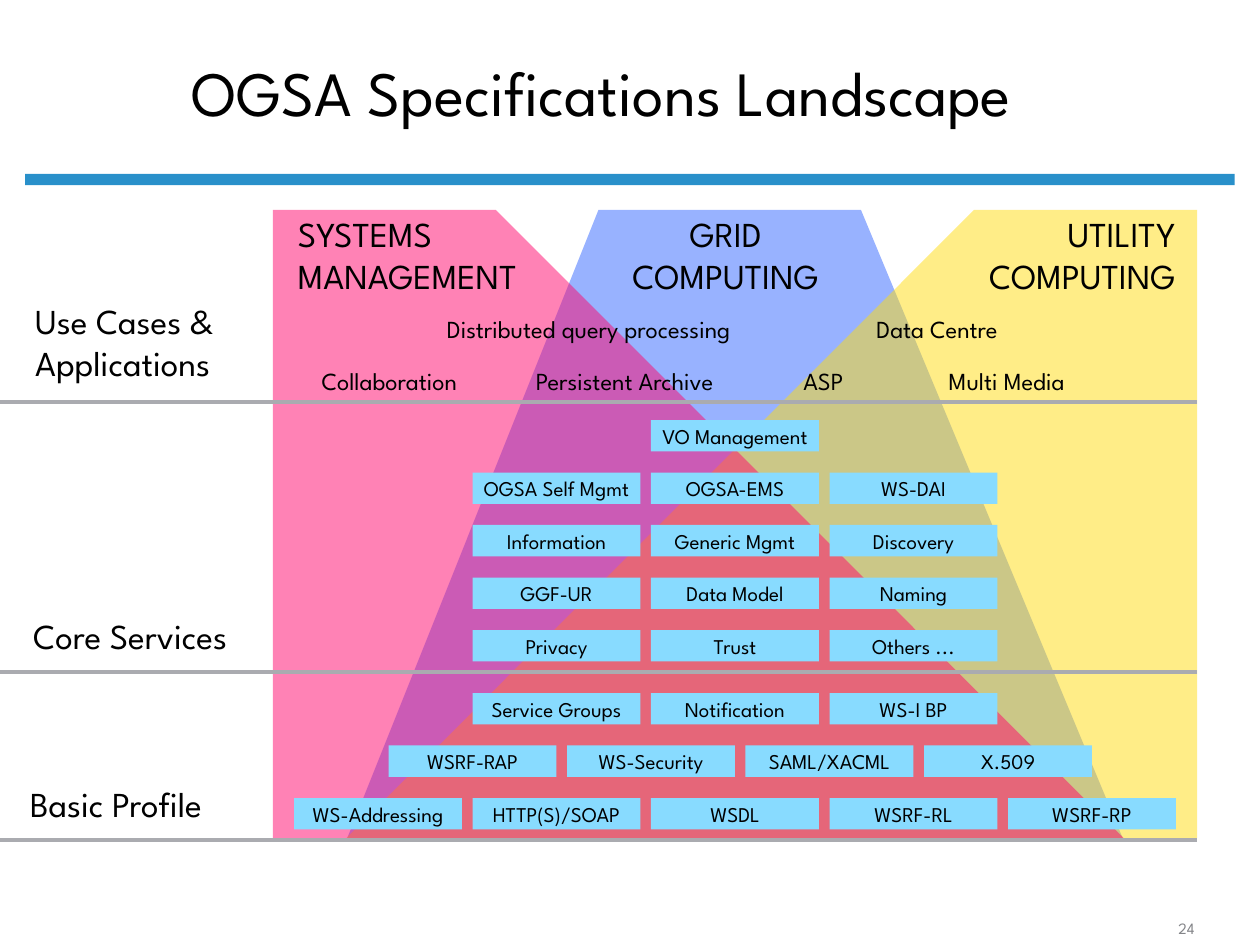
from lxml.etree import SubElement
from pptx import Presentation
from pptx.dml.color import RGBColor
from pptx.enum.shapes import MSO_CONNECTOR, MSO_SHAPE
from pptx.enum.text import MSO_ANCHOR as ANCHOR, MSO_AUTO_SIZE as AUTO, PP_ALIGN as ALIGN
from pptx.oxml.ns import qn
from pptx.util import Pt

FONT = "League Spartan"
COLORS = {
    "text": "000000", "bar": "2990CA", "rule": "AAABB0", "chip": "88DBFF",
    "grid": "3366FF", "utility": "FFDD11", "systems": "FF066D", "number": "848589",
}
CHIP_W, CHIP_H, PITCH_X, PITCH_Y = 96, 18, 102, 30

# left offset in the diagram, specifications
CORE_ROWS = [
    (216, ["VO Management"]),
    (114, ["OGSA Self Mgmt", "OGSA-EMS", "WS-DAI"]),
    (114, ["Information", "Generic Mgmt", "Discovery"]),
    (114, ["GGF-UR", "Data Model", "Naming"]),
    (114, ["Privacy", "Trust", "Others ..."]),
]
BASIC_ROWS = [
    (114, ["Service Groups", "Notification", "WS-I BP"]),
    (66, ["WSRF-RAP", "WS-Security", "SAML/XACML", "X.509"]),
    (12, ["WS-Addressing", "HTTP(S)/SOAP", "WSDL", "WSRF-RL", "WSRF-RP"]),
]


def rgb(name):
    return RGBColor.from_string(COLORS[name])


def box_pt(box):
    return [Pt(v) for v in box]


def write(shape, lines, size, align=ALIGN.LEFT, anchor=ANCHOR.TOP, color="text",
          wrap=True, spacing=1.0):
    tf = shape.text_frame
    frame = {"word_wrap": wrap, "auto_size": AUTO.NONE, "vertical_anchor": anchor,
             "margin_left": Pt(7.2), "margin_right": Pt(7.2),
             "margin_top": Pt(3.6), "margin_bottom": Pt(3.6)}
    for name, value in frame.items():
        setattr(tf, name, value)
    for i, line in enumerate(lines):
        p = tf.paragraphs[0] if i == 0 else tf.add_paragraph()
        p.alignment, p.line_spacing = align, spacing
        r = p.add_run()
        r.text = line
        r.font.name, r.font.size = FONT, Pt(size)
        r.font.color.rgb = rgb(color)


def add_label(s, box, lines, size, **style):
    write(s.shapes.add_textbox(*box_pt(box)), lines, size, **style)


def add_rect(s, box, color):
    sp = s.shapes.add_shape(MSO_SHAPE.RECTANGLE, *box_pt(box))
    sp.shadow.inherit = False
    sp.fill.solid()
    sp.fill.fore_color.rgb = rgb(color)
    sp.line.fill.background()
    return sp


def add_area(s, points, color):
    """Half-transparent polygon."""
    start, *rest = [(Pt(x), Pt(y)) for x, y in points]
    builder = s.shapes.build_freeform(*start)
    builder.add_line_segments(rest, close=True)
    sp = builder.convert_to_shape()
    sp.shadow.inherit = False
    sp.fill.solid()
    sp.fill.fore_color.rgb = rgb(color)
    sp.line.fill.background()
    clr = sp.fill._xPr.find(qn("a:solidFill"))[0]
    SubElement(clr, qn("a:alpha"), val="50000")


def add_rule(s, x, y, w):
    line = s.shapes.add_connector(MSO_CONNECTOR.STRAIGHT, Pt(x), Pt(y), Pt(x + w), Pt(y))
    line.line.color.rgb = rgb("rule")
    line.line.width = Pt(2.25)
    SubElement(line._element.spPr, qn("a:effectLst"))


def add_title(s, box, text):
    title = s.shapes.title
    title.left, title.top, title.width, title.height = box_pt(box)
    write(title, [text], 36, anchor=ANCHOR.BOTTOM, spacing=0.9)


def add_landscape(s, box):
    """Three overlapping fields of computing with their headings."""
    x, y, w, h = box
    right, bottom, base = x + w, y + h, y + h - 1.2
    slant = 42  # inset of the far corners
    add_area(s, [(x + slant, bottom), (x + 186, y), (x + 336, y), (right - slant, bottom)],
             "grid")
    add_area(s, [(right, y), (right - 127.4, y), (x + slant, base), (right, base)], "utility")
    add_area(s, [(x, y), (x + 127.4, y), (right - slant, base), (x, base)], "systems")
    headings = [
        (7.2, 155, ALIGN.LEFT, ["SYSTEMS", "MANAGEMENT"]),
        (191, 135.5, ALIGN.CENTER, ["GRID", "COMPUTING"]),
        (387.5, 135.5, ALIGN.RIGHT, ["UTILITY", "COMPUTING"]),
    ]
    for dx, width, align, lines in headings:
        add_label(s, (x + dx, y - 2, width, 55.5), lines, 20, align=align)


def add_layers(s, box):
    """Layer names at the left, each closed by a rule below."""
    x, y, w, h = box
    layers = [
        (13, 47.8, 109.5, ["Use Cases &", "Applications"]),
        (11.9, 227.7, 264, ["Core Services"]),
        (10.1, 323.5, h, ["Basic Profile"]),
    ]
    for dx, dy, rule_y, lines in layers:
        add_label(s, (x + dx, y + dy, 140, 55.5 if len(lines) > 1 else 31.5), lines, 20)
        add_rule(s, x, y + rule_y, w)


def add_use_cases(s, box):
    x, y, _, row_h = box
    rows = [
        [(77.5, 206, "Distributed query processing"), (333, 93, "Data Centre")],
        [(14.5, 104, "Collaboration"), (135, 132, "Persistent Archive"),
         (294.5, 40, "ASP"), (373, 92.5, "Multi Media")],
    ]
    for i, row in enumerate(rows):
        for dx, width, text in row:
            add_label(s, (x + dx, y + i * PITCH_Y, width, row_h), [text], 14,
                      align=ALIGN.CENTER, anchor=ANCHOR.MIDDLE)


def add_chips(s, x, y, rows):
    for i, (dx, names) in enumerate(rows):
        for j, name in enumerate(names):
            chip = add_rect(s, (x + dx + j * PITCH_X, y + i * PITCH_Y, CHIP_W, CHIP_H), "chip")
            write(chip, [name], 12, align=ALIGN.CENTER, anchor=ANCHOR.MIDDLE, wrap=False)


def main():
    prs = Presentation()
    prs.slide_width, prs.slide_height = Pt(720), Pt(540)
    s = prs.slides.add_slide(prs.slide_layouts[5])
    add_rect(s, (14.4, 99.3, 691.2, 6.5), "bar")
    add_title(s, (102, 0, 540, 78), "OGSA Specifications Landscape")
    add_landscape(s, (156, 120, 528, 360))
    add_layers(s, (0, 120, 684, 360))
    add_use_cases(s, (156, 175.5, 528, 24.5))
    add_chips(s, 156, 240, CORE_ROWS)
    add_chips(s, 156, 396, BASIC_ROWS)
    add_label(s, (648, 522, 60, 17.5), ["24"], 9, align=ALIGN.CENTER,
              anchor=ANCHOR.BOTTOM, color="number")
    prs.save("out.pptx")


if __name__ == "__main__":
    main()
